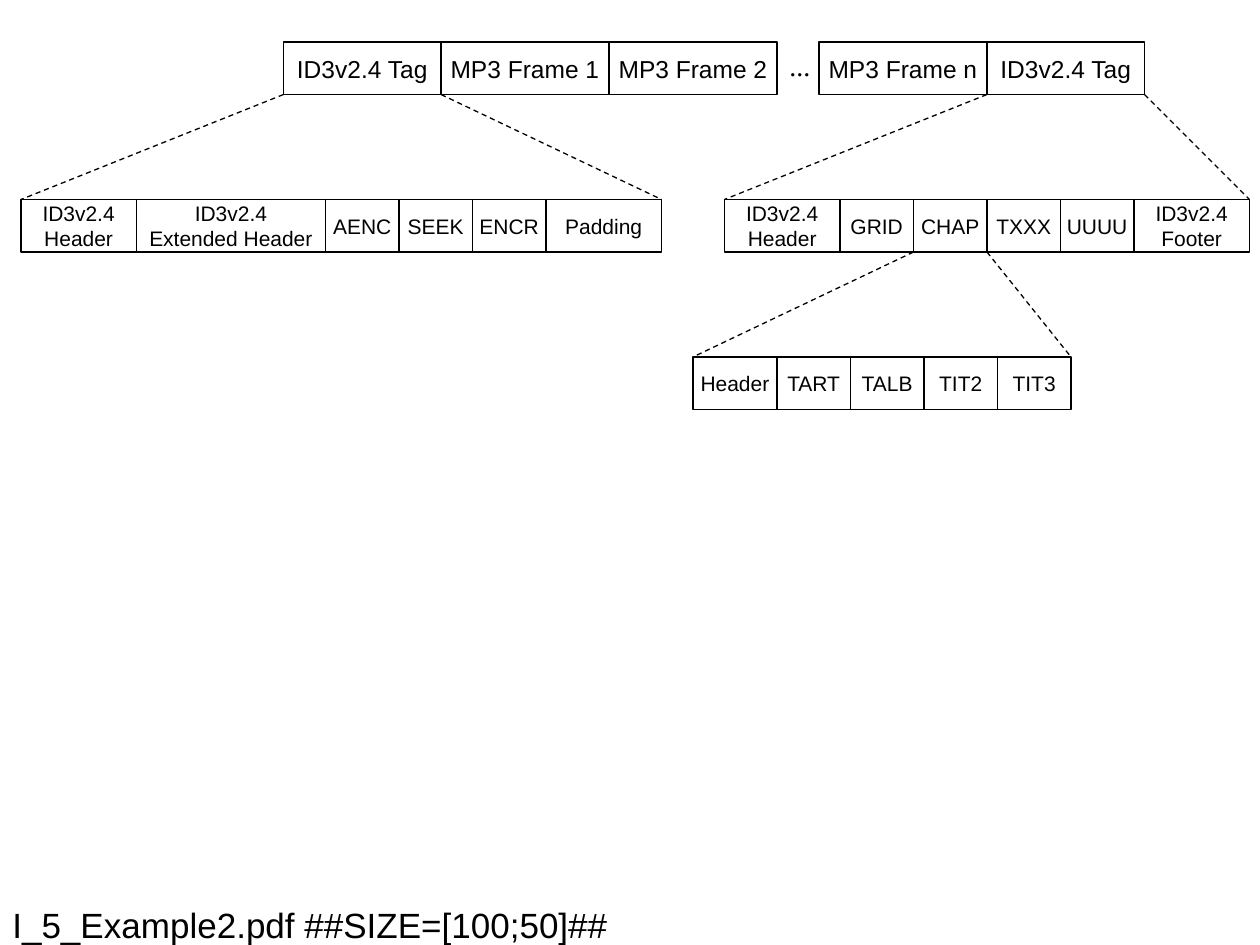
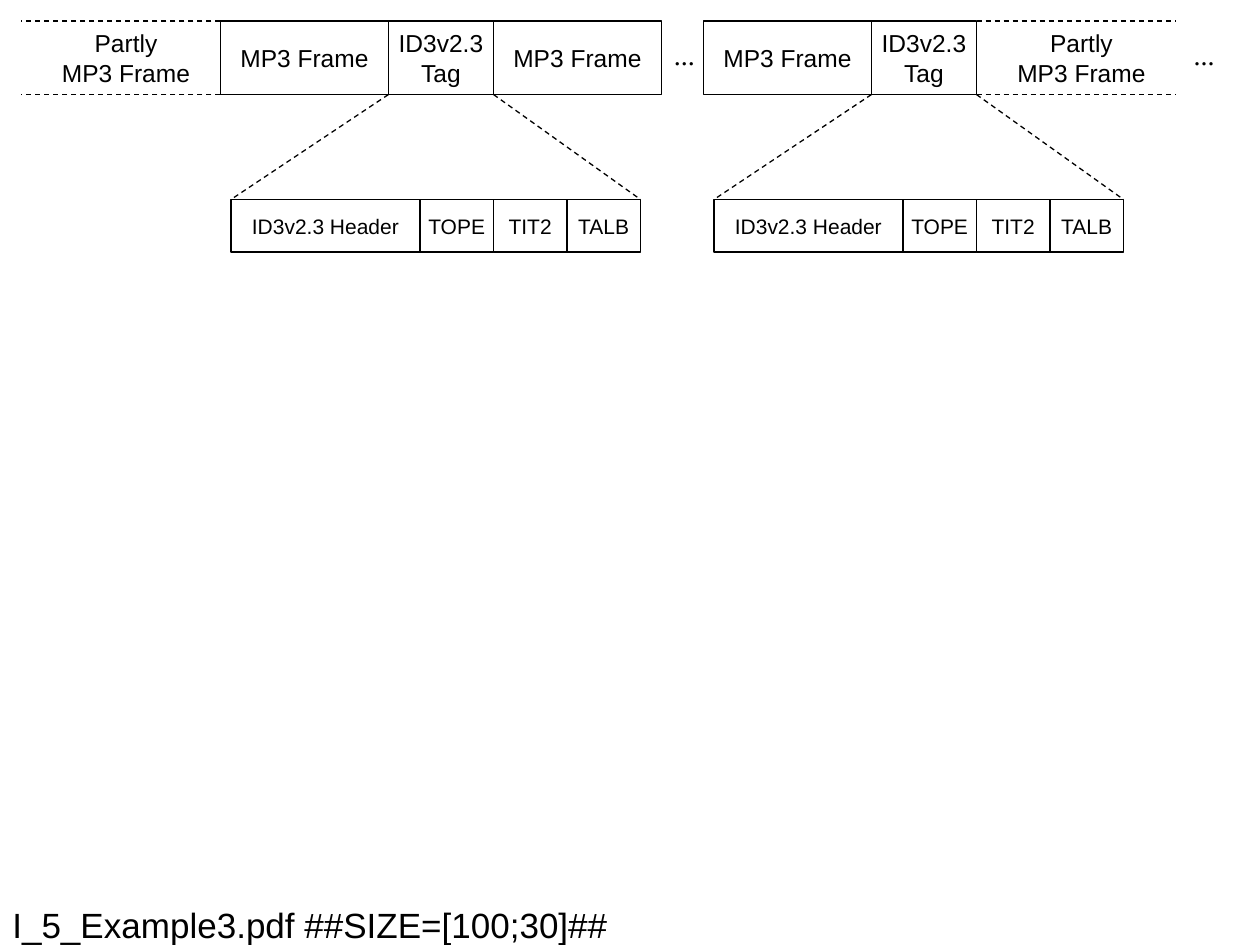
from copy import deepcopy

from lxml.etree import SubElement
from pptx import Presentation
from pptx.dml.color import RGBColor
from pptx.enum.dml import MSO_LINE
from pptx.enum.shapes import MSO_CONNECTOR, MSO_SHAPE
from pptx.enum.text import MSO_ANCHOR as Anchor, MSO_AUTO_SIZE as AutoSize, PP_ALIGN as Align
from pptx.oxml.ns import qn
from pptx.util import Cm, Pt

COLORS = {"ink": "000000", "page": "FFFFFF"}
FRAME_SIZE, FIELD_SIZE = 14, 12
FIELD_TOP, ROW_HEIGHT, FIELD_WIDTH = 19, 5, 7


def grid(units):
    """Length of a number of grid units; twelve units make one inch."""
    return Cm(2.54 * units / 12)


def color(name):
    return RGBColor.from_string(COLORS[name])


def write(frame, text, size=FIELD_SIZE, font="Arial", align=Align.CENTER,
          anchor=Anchor.MIDDLE, wrap=False):
    frame.auto_size = AutoSize.NONE
    frame.word_wrap = wrap
    frame.vertical_anchor = anchor
    paragraph = frame.paragraphs[0]
    paragraph.text = text
    paragraph.alignment = align
    for run in paragraph.runs:
        run.font.size = Pt(size)
        run.font.name = font
        run.font.color.rgb = color("ink")
    for line_break in paragraph._p.findall(qn("a:br")):
        line_break.append(deepcopy(paragraph.runs[0]._r.rPr))


class Diagram:
    """Draws byte layouts as rows of boxes on the current slide."""

    def __init__(self):
        self.deck = Presentation()
        self.deck.slide_width, self.deck.slide_height = Cm(25.4), Cm(19.05)
        self.shapes = None

    def new_slide(self, title):
        slide = self.deck.slides.add_slide(self.deck.slide_layouts[6])
        slide.background.fill.solid()
        slide.background.fill.fore_color.rgb = color("page")
        self.shapes = slide.shapes
        self.label(title, 0, 86, 102, 4, size=20, align=Align.LEFT, wrap=True)

    def label(self, text, left, top, width, height, **style):
        area = self.shapes.add_textbox(*map(grid, (left, top, width, height)))
        write(area.text_frame, text, **style)

    def ellipsis(self, left, top):
        self.label("...", left, top, 4.6, 4.4, size=16, font="Times New Roman",
                   align=Align.LEFT, anchor=Anchor.TOP)

    def outline(self, line):
        line.color.rgb = color("ink")
        line.width = Pt(0.75)

    def box(self, text, left, top, width, height, size):
        cell = self.shapes.add_shape(MSO_SHAPE.RECTANGLE, *map(grid, (left, top, width, height)))
        cell.shadow.inherit = False
        cell.fill.background()
        self.outline(cell.line)
        write(cell.text_frame, text, size=size)
        return cell

    def row(self, left, top, parts, height=ROW_HEIGHT, size=FIELD_SIZE):
        """Draw (text, width) parts side by side and return their boxes."""
        cells = []
        for text, width in parts:
            cells.append(self.box(text, left, top, width, height, size))
            left += width
        return cells

    def dashed(self, x1, y1, x2, y2):
        rule = self.shapes.add_connector(MSO_CONNECTOR.STRAIGHT, x1, y1, x2, y2)
        self.outline(rule.line)
        rule.line.dash_style = MSO_LINE.DASH
        SubElement(rule._element.spPr, qn("a:effectLst"))

    def expand(self, whole, parts):
        """Join the lower corners of a box to the upper ends of its detail row."""
        first, last = parts[0], parts[-1]
        bottom = whole.top + whole.height
        self.dashed(whole.left, bottom, first.left, first.top)
        self.dashed(whole.left + whole.width, bottom, last.left + last.width, last.top)

    def partial_frame(self, inner, outer, text_left):
        """Draw a frame that is open on its outer side."""
        for edge in (2, 9):
            self.dashed(*map(grid, (inner, edge, outer, edge)))
        self.label("Partly\nMP3 Frame", text_left, 3, 16, ROW_HEIGHT, size=FRAME_SIZE)


def fields(*names):
    return [(name, FIELD_WIDTH) for name in names]


def tags_at_both_ends(diagram):
    diagram.new_slide("I_5_Example2.pdf ##SIZE=[100;50]##")
    tag = ("ID3v2.4 Tag", 15)
    header = ("ID3v2.4\nHeader", 11)
    leading_tag, *_ = diagram.row(27, 4, [tag, ("MP3 Frame 1", 16), ("MP3 Frame 2", 16)],
                                  size=FRAME_SIZE)
    diagram.ellipsis(74, 4)
    _, trailing_tag = diagram.row(78, 4, [("MP3 Frame n", 16), tag], size=FRAME_SIZE)

    leading_fields = diagram.row(2, FIELD_TOP, [
        header, ("ID3v2.4\nExtended Header", 18),
        *fields("AENC", "SEEK", "ENCR"), ("Padding", 11)])
    trailing_fields = diagram.row(69, FIELD_TOP, [
        header, *fields("GRID", "CHAP", "TXXX", "UUUU"), ("ID3v2.4\nFooter", 11)])
    chapter_fields = diagram.row(66, 34, [
        ("Header", 8), *fields("TART", "TALB", "TIT2", "TIT3")])

    diagram.expand(leading_tag, leading_fields)
    diagram.expand(trailing_tag, trailing_fields)
    diagram.expand(trailing_fields[2], chapter_fields)


def tags_inside_stream(diagram):
    diagram.new_slide("I_5_Example3.pdf ##SIZE=[100;30]##")
    frame, tag = ("MP3 Frame", 16), ("ID3v2.3\nTag", 10)
    for left, parts in ((21, [frame, tag, frame]), (67, [frame, tag])):
        stream = diagram.row(left, 2, parts, height=7, size=FRAME_SIZE)
        tag_fields = diagram.row(left + 1, FIELD_TOP, [
            ("ID3v2.3 Header", 18), *fields("TOPE", "TIT2", "TALB")])
        diagram.expand(stream[1], tag_fields)
    diagram.partial_frame(21, 2, text_left=4)
    diagram.partial_frame(93, 112, text_left=95)
    for left in (63, 112.5):
        diagram.ellipsis(left, 3)


def main():
    diagram = Diagram()
    tags_at_both_ends(diagram)
    tags_inside_stream(diagram)
    diagram.deck.save("out.pptx")


if __name__ == "__main__":
    main()
